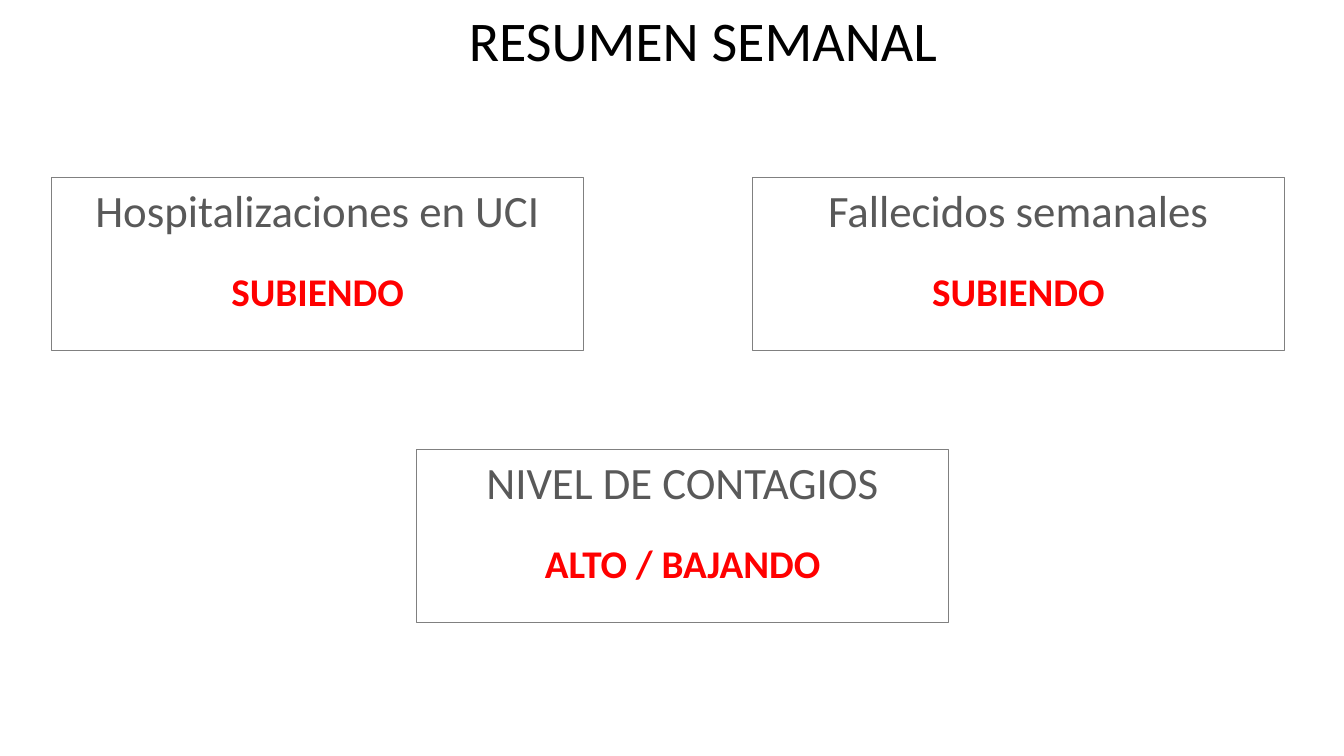
from pptx import Presentation
from pptx.dml.color import RGBColor
from pptx.enum.shapes import MSO_SHAPE
from pptx.enum.text import MSO_ANCHOR, PP_ALIGN
from pptx.util import Inches, Pt

TITLE = "RESUMEN SEMANAL"
# Indicator, status, left, top
CARDS = [
    ("Hospitalizaciones en UCI", "SUBIENDO", 0.51, 1.76),
    ("Fallecidos semanales", "SUBIENDO", 7.46, 1.76),
    ("NIVEL DE CONTAGIOS", "ALTO / BAJANDO", 4.13, 4.46),
]
CARD_W, CARD_H = 5.28, 1.72

BLACK = RGBColor(0x00, 0x00, 0x00)
GREY = RGBColor(0x59, 0x59, 0x59)
BORDER = RGBColor(0x80, 0x80, 0x80)
RED = RGBColor(0xFF, 0x00, 0x00)


def write(p, text, size, color, align, bold=False):
    p.text = text
    p.alignment = align
    font = p.runs[0].font
    font.name, font.size, font.bold = "Calibri", Pt(size), bold
    font.color.rgb = color


prs = Presentation()
prs.slide_width, prs.slide_height = Inches(13.33), Inches(7.5)
s = prs.slides.add_slide(prs.slide_layouts[5])

# Title
title = s.shapes.title
title.left, title.top = Inches(4.55), Inches(0)
title.width, title.height = Inches(4.89), Inches(0.77)
tf = title.text_frame
tf.word_wrap = False
tf.vertical_anchor = MSO_ANCHOR.TOP
write(tf.paragraphs[0], TITLE, 40, BLACK, PP_ALIGN.LEFT)

# Indicator cards
for indicator, status, left, top in CARDS:
    sp = s.shapes.add_shape(MSO_SHAPE.RECTANGLE, Inches(left), Inches(top),
                            Inches(CARD_W), Inches(CARD_H))
    sp.shadow.inherit = False
    sp.fill.background()
    sp.line.color.rgb = BORDER
    sp.line.width = Pt(0.75)
    tf = sp.text_frame
    tf.word_wrap = True
    tf.vertical_anchor = MSO_ANCHOR.TOP
    write(tf.paragraphs[0], indicator, 32, GREY, PP_ALIGN.CENTER)
    p = tf.add_paragraph()
    write(p, status, 28, RED, PP_ALIGN.CENTER, bold=True)
    p.space_before = Pt(22)

prs.save("out.pptx")
